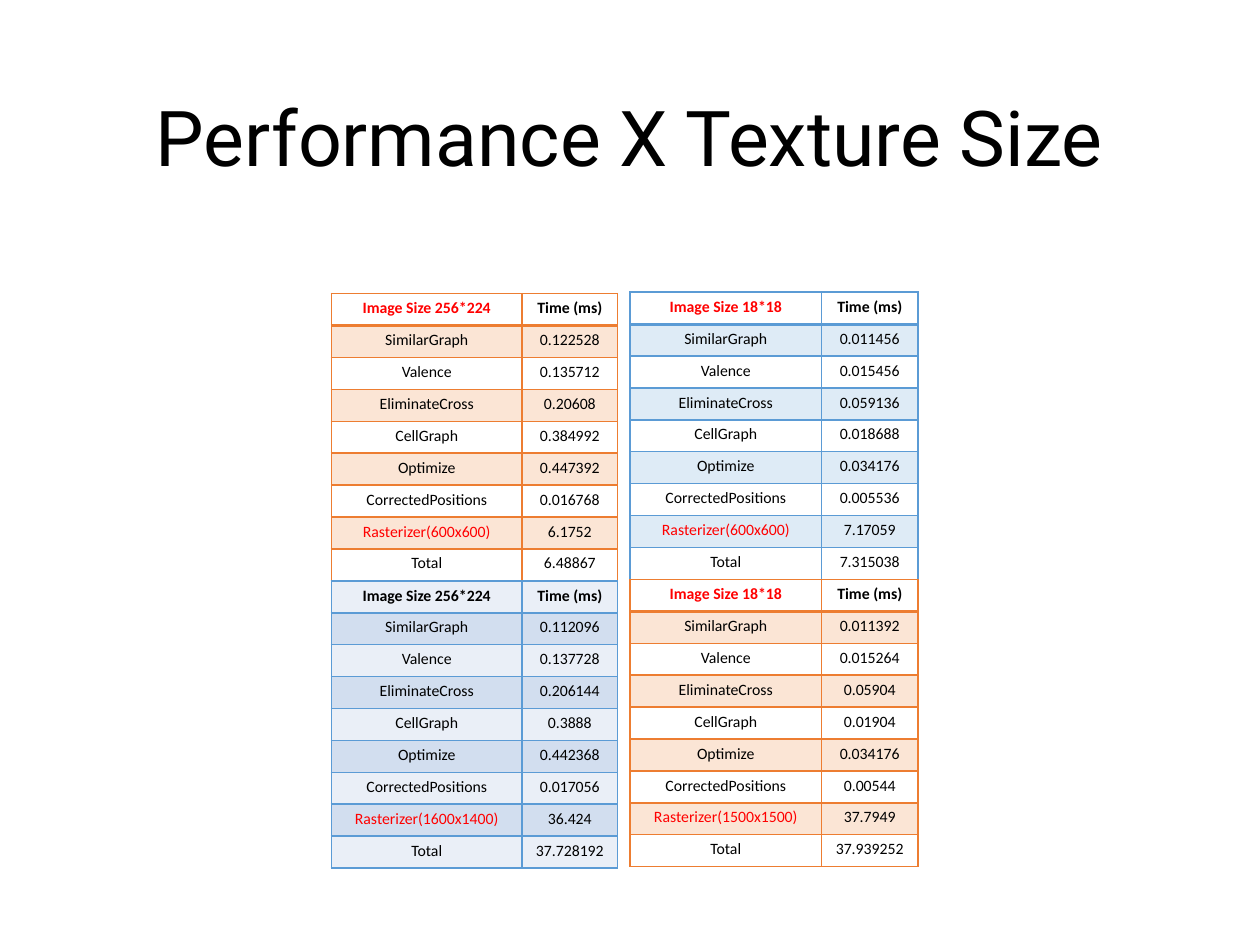
from lxml.etree import SubElement
from pptx import Presentation
from pptx.dml.color import RGBColor
from pptx.enum.text import MSO_ANCHOR, PP_ALIGN
from pptx.oxml import parse_xml
from pptx.oxml.ns import nsdecls, qn
from pptx.util import Pt

BLACK = RGBColor(0x00, 0x00, 0x00)
RED = RGBColor(0xFF, 0x00, 0x00)
BLUE = RGBColor(0x5B, 0x9B, 0xD5)
ORANGE = RGBColor(0xED, 0x7D, 0x31)
PALE = RGBColor(0xEA, 0xEF, 0xF7)
MIST = RGBColor(0xD2, 0xDE, 0xEF)

STEPS = ["SimilarGraph", "Valence", "EliminateCross", "CellGraph",
         "Optimize", "CorrectedPositions"]
ROW = 18.24
LEFT = dict(x=189.4, y=167.8, widths=(108.8, 54.8), inset=6.48)
RIGHT = dict(x=360, y=167, widths=(109.4, 55.2), inset=5.2)
HALF = 9 * ROW


def add_title(slide, x, y, width, height):
    """Place the slide title in its box."""
    title = slide.shapes.title
    title.left, title.top = Pt(x), Pt(y)
    title.width, title.height = Pt(width), Pt(height)
    frame = title.text_frame
    frame.text = "Performance X Texture Size"
    frame.vertical_anchor = MSO_ANCHOR.MIDDLE
    para = frame.paragraphs[0]
    para.alignment = PP_ALIGN.CENTER
    para.line_spacing = 0.9
    font = para.runs[0].font
    font.name, font.size = "Roboto", Pt(44)
    font.color.rgb = BLACK


def fill_cell(cell, band, tint, solid):
    """Fill a cell by its band, with solid tones or a light tint."""
    if solid:
        cell.fill.solid()
        cell.fill.fore_color.rgb = MIST if band else PALE
    elif band:
        cell.fill.solid()
        cell.fill.fore_color.rgb = tint
        color = cell._tc.tcPr.find(".//" + qn("a:srgbClr"))
        SubElement(color, qn("a:alpha")).set("val", "20000")
    else:
        cell.fill.background()


def edge_cell(cell, color, top, bottom):
    """Draw the four borders of a cell."""
    sides = {"lnL": 1, "lnR": 1, "lnT": top, "lnB": bottom}
    for spot, (side, width) in enumerate(sides.items()):
        line = parse_xml(
            f'<a:{side} {nsdecls("a")} w="{Pt(width)}"><a:solidFill>'
            f'<a:srgbClr val="{color}"/></a:solidFill></a:{side}>')
        cell._tc.tcPr.insert(spot, line)


def write_cell(cell, text, inset, color, bold):
    """Write centred text in a cell."""
    cell.margin_left = cell.margin_right = Pt(inset)
    cell.margin_top = cell.margin_bottom = Pt(3)
    cell.text_frame.text = text
    para = cell.text_frame.paragraphs[0]
    para.alignment = PP_ALIGN.CENTER
    font = para.runs[0].font
    font.name, font.size, font.bold = "Calibri", Pt(9), bold
    font.color.rgb = color


def add_times(slide, x, y, widths, inset, size, raster, times, tint, solid=False):
    """Place one table of timings at the given corner."""
    names = [f"Image Size {size}", *STEPS, f"Rasterizer({raster})", "Total"]
    rows = list(zip(names, ["Time (ms)", *times.split()]))
    table = slide.shapes.add_table(
        len(rows), 2, Pt(x), Pt(y), Pt(sum(widths)), Pt(ROW * len(rows))).table
    table.first_row = table.horz_banding = False
    for col, width in zip(table.columns, widths):
        col.width = Pt(width)
    thick = 1 if solid else 2
    for r, texts in enumerate(rows):
        table.rows[r].height = Pt(ROW)
        for c, text in enumerate(texts):
            cell = table.cell(r, c)
            red = c == 0 and (r == 7 or r == 0 and not solid)
            write_cell(cell, text, inset, RED if red else BLACK, r == 0)
            fill_cell(cell, r % 2 == 1, tint, solid)
            edge_cell(cell, tint, thick if r == 1 else 1, thick if r == 0 else 1)


def main():
    """Build and save the slide."""
    deck = Presentation()
    deck.slide_width, deck.slide_height = Pt(720), Pt(540)
    slide = deck.slides.add_slide(deck.slide_layouts[5])
    add_title(slide, 49.5, 28.75, 621, 104.4)
    low_left = {**LEFT, "y": LEFT["y"] + HALF}
    low_right = {**RIGHT, "y": RIGHT["y"] + HALF}
    add_times(slide, **RIGHT, size="18*18", raster="600x600", tint=BLUE,
              times="0.011456 0.015456 0.059136 0.018688 0.034176 "
                    "0.005536 7.17059 7.315038")
    add_times(slide, **LEFT, size="256*224", raster="600x600", tint=ORANGE,
              times="0.122528 0.135712 0.20608 0.384992 0.447392 "
                    "0.016768 6.1752 6.48867")
    add_times(slide, **low_right, size="18*18", raster="1500x1500", tint=ORANGE,
              times="0.011392 0.015264 0.05904 0.01904 0.034176 "
                    "0.00544 37.7949 37.939252")
    add_times(slide, **low_left, size="256*224", raster="1600x1400", tint=BLUE,
              solid=True,
              times="0.112096 0.137728 0.206144 0.3888 0.442368 "
                    "0.017056 36.424 37.728192")
    deck.save("out.pptx")


if __name__ == "__main__":
    main()
